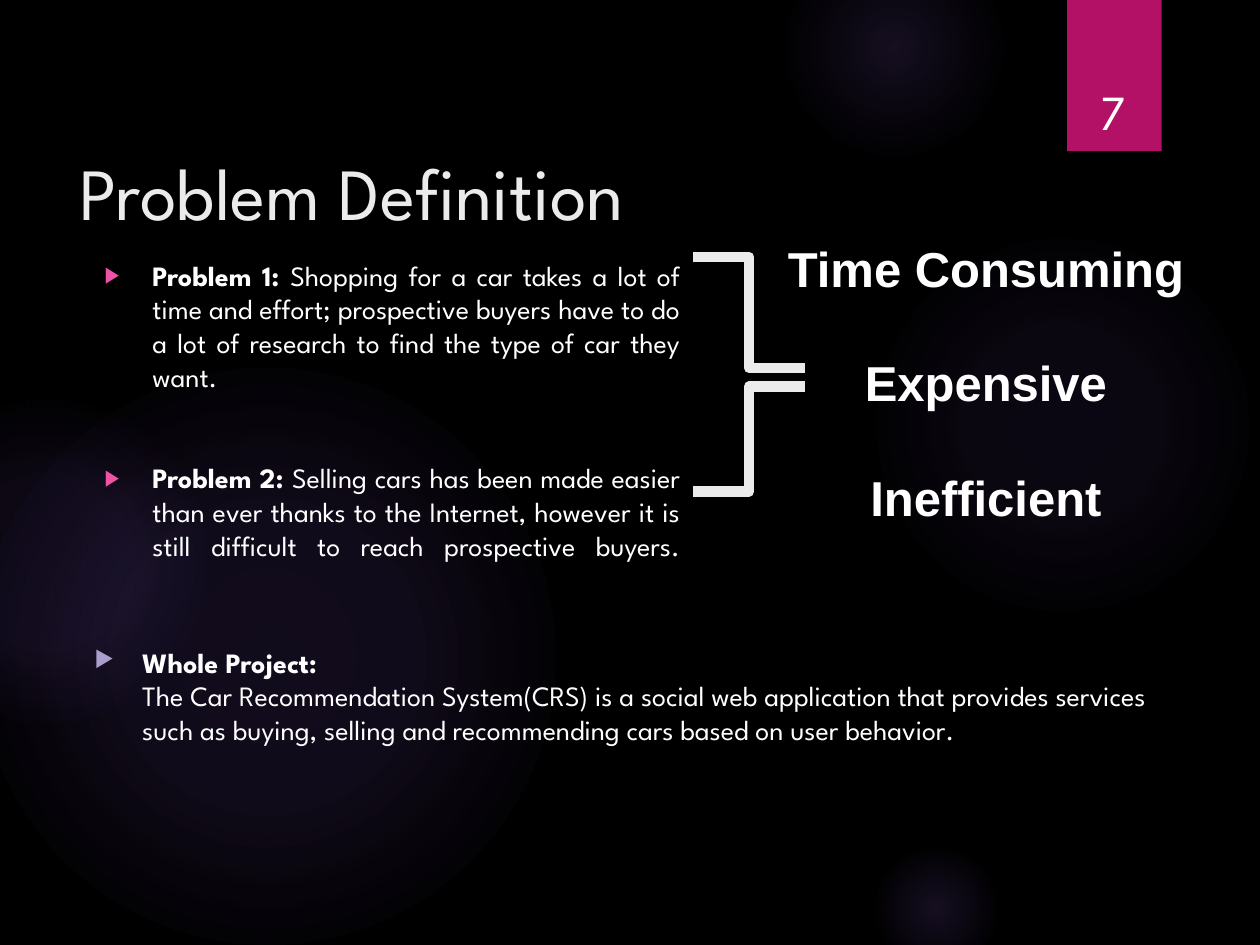
from lxml.etree import SubElement
from pptx import Presentation
from pptx.dml.color import RGBColor
from pptx.enum.shapes import MSO_CONNECTOR as CONN, MSO_SHAPE as SHAPE
from pptx.enum.text import MSO_ANCHOR as ANCHOR, MSO_AUTO_SIZE as FIT, PP_ALIGN as ALIGN
from pptx.oxml import parse_xml
from pptx.oxml.ns import nsdecls, qn
from pptx.util import Inches, Pt

FONT = "League Spartan"
rgb = RGBColor.from_string

prs = Presentation()
prs.slide_width, prs.slide_height = Inches(10), Inches(7.5)
unit = prs.slide_width / 100  # square grid: 100 columns by 75 rows


def grid(*cells):
    return [round(c * unit) for c in cells]


def style(r, size, color="FFFFFF", font=FONT, bold=False):
    r.font.name, r.font.size, r.font.bold = font, Pt(size), bold
    r.font.color.rgb = rgb(color)


s = prs.slides.add_slide(prs.slide_layouts[1])
s.background.fill.solid()
s.background.fill.fore_color.rgb = rgb("000000")

# Background glows: left, top, diameter, (stop %, opacity %)
glows = [
    (68.9, 18.3, 30.8, ((0, 7), (36, 6), (69, 0))),
    (62.2, -5, 17.5, ((0, 14), (36, 7), (73, 0))),
    (68.9, 66.7, 10.8, ((0, 14), (36, 7), (66, 0))),
    (-1.7, 29.2, 45.8, ((0, 11), (36, 10), (75, 0))),
    (-9.2, 31.7, 25.8, ((0, 8), (36, 8), (72, 0))),
]
for i, (x, y, d, stops) in enumerate(glows):
    sp = s.shapes.add_shape(SHAPE.OVAL, *grid(x, y, d, d))
    sp.shadow.inherit = False
    sp.line.fill.background()
    gs = "".join(
        f'<a:gs pos="{pos * 1000}"><a:srgbClr val="9B6BF2">'
        f'<a:alpha val="{alpha * 1000}"/></a:srgbClr></a:gs>'
        for pos, alpha in stops)
    sp._element.spPr.find(qn("a:prstGeom")).addnext(parse_xml(
        f'<a:gradFill {nsdecls("a")}><a:gsLst>{gs}</a:gsLst><a:path path="circle">'
        '<a:fillToRect l="50000" t="50000" r="50000" b="50000"/></a:path></a:gradFill>'))
    s.shapes._spTree.insert(2 + i, sp._element)  # behind the placeholders

# Page number tab
tab = s.shapes.add_shape(SHAPE.RECTANGLE, *grid(84.7, 0, 7.5, 12))
tab.fill.solid()
tab.fill.fore_color.rgb = rgb("B31166")
tab.line.fill.background()
tab._element.spPr.append(parse_xml(
    f'<a:effectLst {nsdecls("a")}><a:outerShdw blurRad="{Pt(3)}" dist="{Pt(2)}" '
    'dir="5400000" rotWithShape="0"><a:srgbClr val="000000"><a:alpha val="45000"/>'
    '</a:srgbClr></a:outerShdw></a:effectLst>'))
number = s.shapes.add_textbox(*grid(84.9, 3.2, 6.9, 8.4))
tf = number.text_frame
tf.word_wrap = True
tf.vertical_anchor = ANCHOR.BOTTOM
tf.text = "7"
tf.paragraphs[0].alignment = ALIGN.CENTER
style(tf.paragraphs[0].runs[0], 28)

# Title
title = s.shapes.title
title.left, title.top, title.width, title.height = grid(5.3, 10.8, 77.2, 8.4)
tf = title.text_frame
tf.auto_size = FIT.NONE
tf.vertical_anchor = ANCHOR.BOTTOM
tf.text = "Problem Definition"
tf.paragraphs[0].alignment = ALIGN.LEFT
style(tf.paragraphs[0].runs[0], 42, "EBEBEB")

# Bulleted paragraphs
body = s.placeholders[1]
body.left, body.top, body.width, body.height = grid(7.3, 20, 47.7, 40.8)
body.text_frame.auto_size = FIT.NONE
project = s.shapes.add_textbox(*grid(6.5, 50.7, 87.5, 15.8))
project.text_frame.word_wrap = True
problems = body.text_frame
bullets = [
    (problems.paragraphs[0], "EF53A5", ALIGN.JUSTIFY, 0, "Problem 1: ",
     "Shopping for a car takes a lot of time and effort; prospective buyers have to do "
     "a lot of research to find the type of car they want."),
    (problems.add_paragraph(), "EF53A5", ALIGN.JUSTIFY, 39, "Problem 2: ",
     "Selling cars has been made easier than ever thanks to the Internet, however it is "
     "still difficult to reach prospective buyers."),
    (project.text_frame.paragraphs[0], "AA9ECB", ALIGN.LEFT, 0, "Whole Project:\v",
     "The Car Recommendation System(CRS) is a social web application that provides "
     "services such as buying, selling and recommending cars based on user behavior."),
]
for p, color, align, before, label, text in bullets:
    p.text = label
    p.add_run().text = text
    if label.startswith("Problem 2"):
        p.add_line_break()  # keeps the last line justified
    for br in p._p.findall(qn("a:br")):
        SubElement(br, qn("a:rPr"), sz="1600")
    pPr = p._p.get_or_add_pPr()
    pPr.set("marL", str(Inches(0.38)))
    pPr.set("indent", str(-Inches(0.38)))
    SubElement(SubElement(pPr, qn("a:buClr")), qn("a:srgbClr"), val=color)
    SubElement(pPr, qn("a:buSzPct"), val="80000")
    SubElement(pPr, qn("a:buChar"), char="▶")
    p.alignment = align
    p.space_before = Pt(before)
    style(p.runs[0], 16, bold=True)
    style(p.runs[1], 16)

# Consequences
effects = s.shapes.add_textbox(*grid(59.9, 18.4, 36.7, 24.6))
tf = effects.text_frame
tf.word_wrap = True
tf.text = "Time Consuming\nExpensive\nInefficient"
for i, p in enumerate(tf.paragraphs):
    p.alignment = ALIGN.CENTER
    p.space_before = Pt(32 if i else 0)
    style(p.runs[0], 28, font="Arial", bold=True)

# Brackets from the problems to the consequences
for y1, y2 in ((20.4, 29.2), (39, 30.7)):
    link = s.shapes.add_connector(CONN.ELBOW, *grid(55, y1, 63.9, y2))
    link.line.color.rgb = rgb("EBEBEB")
    link.line.width = Pt(6)
    SubElement(link._element.spPr, qn("a:effectLst"))

prs.save("out.pptx")
